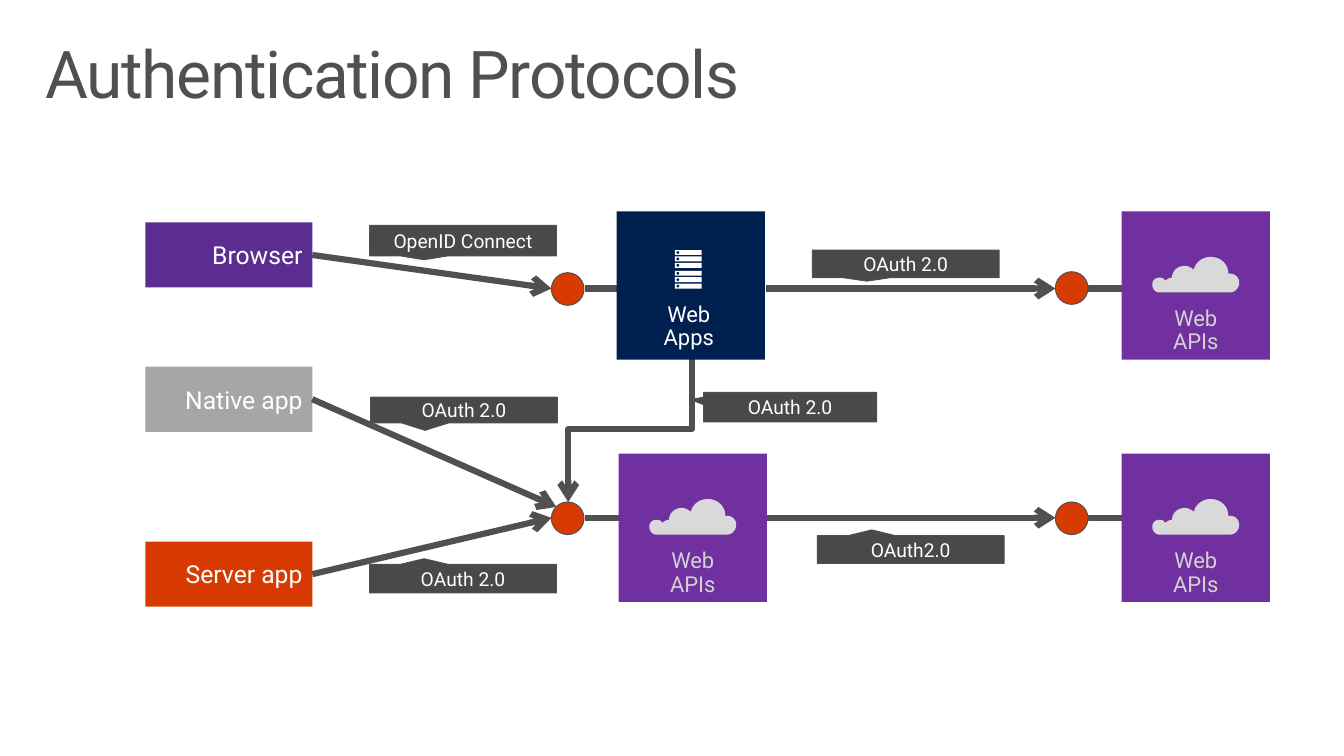
"""Builds the Authentication Protocols slide."""
from math import cos, pi, sin

from lxml.etree import SubElement
from pptx import Presentation
from pptx.dml.color import RGBColor
from pptx.enum.shapes import MSO_CONNECTOR, MSO_SHAPE
from pptx.enum.text import MSO_ANCHOR, MSO_AUTO_SIZE, PP_ALIGN
from pptx.oxml.ns import qn
from pptx.util import Inches, Pt

FONT = "Roboto"
WHITE = RGBColor(0xFF, 0xFF, 0xFF)
GRAY = RGBColor(0x50, 0x50, 0x50)
CALLOUT_GRAY = RGBColor(0x49, 0x49, 0x49)
NATIVE_GRAY = RGBColor(0xA6, 0xA6, 0xA6)
CLOUD_GRAY = RGBColor(0xD9, 0xD9, 0xD9)
LABEL_GRAY = RGBColor(0xD2, 0xD2, 0xD2)
BROWSER_PURPLE = RGBColor(0x5C, 0x2D, 0x91)
API_PURPLE = RGBColor(0x70, 0x30, 0xA0)
ORANGE = RGBColor(0xD8, 0x3B, 0x01)
NAVY = RGBColor(0x00, 0x20, 0x50)

CLIENTS = [
    ("Browser", 2.25, BROWSER_PURPLE),
    ("Native app", 3.71, NATIVE_GRAY),
    ("Server app", 5.48, ORANGE),
]
ENDPOINTS = [(5.58, 5.08), (5.58, 2.76), (10.68, 5.08), (10.68, 2.75)]
STUBS = [
    (5.92, 5.24, 6.26, 5.24),
    (5.92, 2.92, 6.26, 2.92),
    (11.01, 5.24, 11.35, 5.24),
    (11.01, 2.92, 11.35, 2.92),
]
ARROWS = [
    (3.16, 2.58, 5.58, 2.92),
    (3.16, 4.04, 5.63, 5.13),
    (3.16, 5.81, 5.58, 5.24),
    (7.75, 5.24, 10.68, 5.24),
    (7.75, 2.92, 10.68, 2.92),
]
CALLOUTS = [
    ("OpenID Connect", (3.74, 2.28, 1.89, 0.31), (-0.208, 0.625)),
    ("OAuth 2.0", (3.75, 4.02, 1.89, 0.26), (-0.208, 0.788)),
    ("OAuth 2.0", (3.74, 5.71, 1.89, 0.29), (-0.208, -0.694)),
    ("OAuth 2.0", (7.12, 3.97, 1.75, 0.3), (-0.575, -0.255)),
    ("OAuth 2.0", (8.22, 2.53, 1.89, 0.28), (-0.208, 0.625)),
    ("OAuth2.0", (8.27, 5.42, 1.89, 0.28), (-0.208, -0.707)),
]
WEB_APIS = [(6.26, 4.59), (11.35, 4.59), (11.35, 2.14)]
CLOUD_START = (0.77, 0.17)
CLOUD_CURVES = [
    [(0.77, 0.07), (0.69, 0), (0.59, 0)],
    [(0.51, 0), (0.44, 0.05), (0.42, 0.13)],
    [(0.4, 0.11), (0.36, 0.09), (0.33, 0.09)],
    [(0.26, 0.09), (0.2, 0.14), (0.2, 0.21)],
    [(0.17, 0.21), (0.15, 0.23), (0.13, 0.24)],
    [(0.12, 0.22), (0.1, 0.21), (0.07, 0.21)],
    [(0.03, 0.21), (0, 0.24), (0, 0.28)],
    [(0, 0.32), (0.03, 0.36), (0.07, 0.36)],
    [(0.07, 0.36), (0.79, 0.36), (0.79, 0.36)],
    [(0.84, 0.36), (0.88, 0.31), (0.88, 0.26)],
    [(0.88, 0.21), (0.84, 0.17), (0.79, 0.17)],
]


def write(frame, text, size, color, align):
    """Put one formatted run into the first paragraph."""
    frame.word_wrap = True
    paragraph = frame.paragraphs[0]
    paragraph.alignment = align
    run = paragraph.add_run()
    run.text = text
    run.font.name = FONT
    run.font.size = Pt(size)
    run.font.color.rgb = color
    return paragraph


def set_insets(frame, across, down):
    """Set the side and the top and bottom margins of a text frame."""
    frame.margin_left = frame.margin_right = Inches(across)
    frame.margin_top = frame.margin_bottom = Inches(down)


def paint(shape, fill, outlined=False):
    """Give a shape a flat fill, with a thin outline if asked."""
    shape.shadow.inherit = False
    shape.fill.solid()
    shape.fill.fore_color.rgb = fill
    if outlined:
        shape.line.color.rgb = GRAY
        shape.line.width = Pt(0.75)
    else:
        shape.line.fill.background()


def add_preset(shapes, preset, box, fill, outlined=False):
    """Add a painted preset shape."""
    shape = shapes.add_shape(preset, *map(Inches, box))
    paint(shape, fill, outlined)
    return shape


def add_labelled(shapes, preset, box, fill, text, size, align, outlined=False):
    """Add a preset shape with white text in its middle."""
    shape = add_preset(shapes, preset, box, fill, outlined)
    shape.text_frame.vertical_anchor = MSO_ANCHOR.MIDDLE
    write(shape.text_frame, text, size, WHITE, align)
    return shape


def add_link(shapes, ends, arrow=False, kind=MSO_CONNECTOR.STRAIGHT):
    """Add a thick gray connector."""
    link = shapes.add_connector(kind, *map(Inches, ends))
    link.line.color.rgb = GRAY
    link.line.width = Pt(4.5)
    properties = link._element.spPr
    if arrow:
        SubElement(properties.find(qn("a:ln")), qn("a:tailEnd"), type="arrow")
    SubElement(properties, qn("a:effectLst"))
    return link


def add_outline(shapes, contours, left, top, fill):
    """Add a freeform from closed contours measured from left and top."""
    placed = [[(Inches(left + x), Inches(top + y)) for x, y in contour]
              for contour in contours]
    builder = shapes.build_freeform(*placed[0][0], scale=1.0)
    for index, contour in enumerate(placed):
        if index:
            builder.move_to(*contour[0])
        builder.add_line_segments(contour[1:], close=True)
    paint(builder.convert_to_shape(), fill)


def cloud_contour(steps=10):
    """Sample the cubic curves of the cloud."""
    points = [CLOUD_START]
    for curve in CLOUD_CURVES:
        controls = [points[-1], *curve]
        for step in range(1, steps + 1):
            t = step / steps
            weights = ((1 - t) ** 3, 3 * t * (1 - t) ** 2, 3 * t * t * (1 - t), t ** 3)
            points.append(tuple(sum(w * c[axis] for w, c in zip(weights, controls))
                                for axis in (0, 1)))
    return points


def server_contours():
    """Outline three server bars, each with a round light cut out."""
    contours = []
    for row in range(3):
        top = row * 0.065
        contours.append([(0, top), (0.27, top), (0.27, top + 0.05), (0, top + 0.05)])
        angles = [-2 * pi * step / 12 for step in range(12)]
        contours.append([(0.03 + 0.015 * cos(a), top + 0.025 + 0.015 * sin(a))
                         for a in angles])
    return contours


def add_tile(shapes, left, top, fill, label, label_at, color):
    """Add a grouped square tile with its label and return its shapes."""
    tile = shapes.add_group_shape().shapes
    add_preset(tile, MSO_SHAPE.RECTANGLE, (left, top, 1.5, 1.5), fill)
    caption = tile.add_textbox(*map(Inches, (*label_at, 1.32, 0.82))).text_frame
    set_insets(caption, 0.2, 0.16)
    paragraph = write(caption, label, 16, color, PP_ALIGN.CENTER)
    paragraph.line_spacing = 0.9
    paragraph.space_after = Pt(6)
    return tile


def add_title(slide):
    """Place and format the slide title."""
    title = slide.shapes.title
    title.left, title.top, title.width, title.height = map(Inches, (0.3, 0.32, 13, 1))
    frame = title.text_frame
    frame.auto_size = MSO_AUTO_SIZE.NONE
    frame.vertical_anchor = MSO_ANCHOR.TOP
    set_insets(frame, 0.16, 0.1)
    heading = write(frame, "Authentication Protocols", 48, GRAY, PP_ALIGN.LEFT)
    heading.line_spacing = 0.9
    heading.runs[0].font._element.set("spc", "-100")


def main():
    """Build and save the slide."""
    deck = Presentation()
    deck.slide_width, deck.slide_height = Inches(13.6), Inches(7.65)
    slide = deck.slides.add_slide(deck.slide_layouts[5])
    shapes = slide.shapes
    add_title(slide)
    for name, top, fill in CLIENTS:
        add_labelled(shapes, MSO_SHAPE.RECTANGLE, (1.47, top, 1.69, 0.66), fill,
                     name, 18, PP_ALIGN.RIGHT)
    for left, top in ENDPOINTS:
        add_preset(shapes, MSO_SHAPE.OVAL, (left, top, 0.33, 0.33), ORANGE, True)
    for ends in STUBS:
        add_link(shapes, ends)
    for ends in ARROWS:
        add_link(shapes, ends, arrow=True)
    bend = add_link(shapes, (5.64, 3.72, 7.11, 4.97), True, MSO_CONNECTOR.ELBOW)
    bend._element.spPr.find(qn("a:xfrm")).set("rot", "5400000")
    for text, box, pointer in CALLOUTS:
        callout = add_labelled(shapes, MSO_SHAPE.RECTANGULAR_CALLOUT, box, CALLOUT_GRAY,
                               text, 14, PP_ALIGN.CENTER, True)
        callout.adjustments[0], callout.adjustments[1] = pointer
    web_apps = add_tile(shapes, 6.24, 2.14, NAVY, "Web Apps", (6.31, 2.91), WHITE)
    for top in (2.53, 2.74):
        add_outline(web_apps, server_contours(), 6.83, top, WHITE)
    for left, top in WEB_APIS:
        web_api = add_tile(shapes, left, top, API_PURPLE, "Web APIs",
                           (left + 0.09, top + 0.81), LABEL_GRAY)
        add_outline(web_api, [cloud_contour()], left + 0.31, top + 0.46, CLOUD_GRAY)
    deck.save("out.pptx")


if __name__ == "__main__":
    main()
